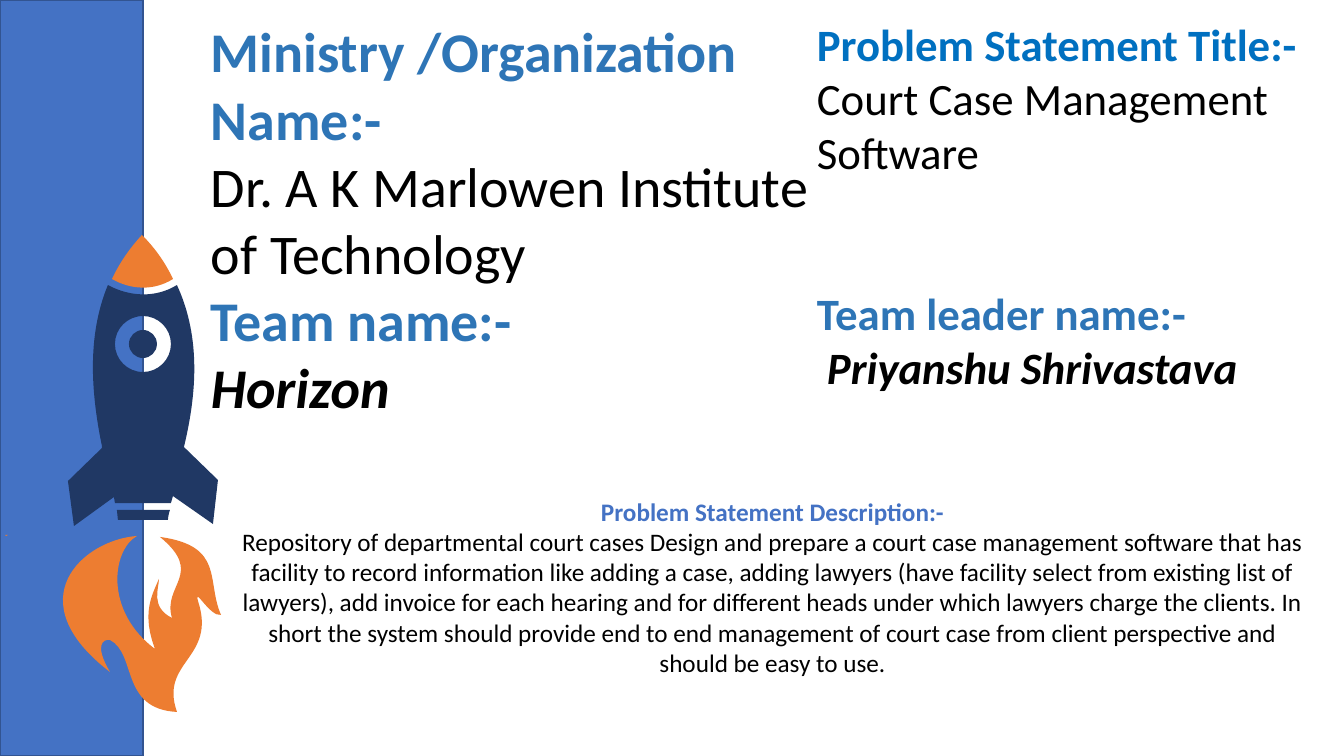
from lxml.etree import SubElement
from pptx import Presentation
from pptx.dml.color import RGBColor
from pptx.enum.shapes import MSO_SHAPE
from pptx.enum.text import PP_ALIGN
from pptx.oxml.ns import qn
from pptx.util import Emu, Pt

PX = 914400 / 100.8
COLORS = {"band": "4472C4", "edge": "325491", "navy": "203864", "orange": "ED7D31",
          "heading": "2E75B6", "title": "0070C0", "ink": "000000"}

TEXTS = [
    {"box": (201, 12, 672, 688), "size": 40, "align": PP_ALIGN.LEFT, "lines": [
        ("Ministry /Organization Name:-", "heading", True, False, 0),
        ("Dr. A K Marlowen Institute of Technology", "ink", False, False, 0),
        ("Team name:-", "heading", True, False, 0),
        ("Horizon", "ink", True, True, 0)]},
    {"box": (807, 12, 537, 445), "size": 32, "align": PP_ALIGN.LEFT, "lines": [
        ("Problem Statement Title:-", "title", True, False, 0),
        ("Court Case Management Software", "ink", False, False, 0),
        ("Team leader name:-", "heading", True, False, 77),
        (" Priyanshu Shrivastava", "ink", True, True, 0)]},
    {"box": (228, 491, 1089, 194), "size": 18, "align": PP_ALIGN.CENTER, "lines": [
        ("Problem Statement Description:-", "band", True, False, 0),
        ("Repository of departmental court cases Design and prepare a court case management "
         "software that has facility to record information like adding a case, adding lawyers "
         "(have facility select from existing list of lawyers), add invoice for each hearing and "
         "for different heads under which lawyers charge the clients. In short the system should "
         "provide end to end management of court case from client perspective and should be easy "
         "to use.", "ink", False, False, 0)]},
]

NOZZLE = [(117, 510), (170, 510), (169, 513, 168, 517, 168, 520), (118, 520)]
HULL = [(108, 285), (130, 297, 156, 298, 177, 285), (202, 339, 196, 397, 184, 447),
        (218, 480), (213, 524), (173, 496), (171, 503), (115, 503),
        (115, 501, 114, 499, 114, 497), (74, 526), (68, 481), (102, 448), (102, 446),
        (92, 397, 86, 338, 108, 285)]
NOSE = [(142, 235), (156, 249, 166, 264, 173, 279), (154, 291, 131, 290, 112, 279),
        (119, 264, 129, 249, 142, 235)]
FLAME = [(137, 536), (112, 550, 104, 611, 155, 649), (142, 614, 151, 597, 159, 579),
         (159, 588, 150, 607, 172, 618), (162, 585, 205, 574, 160, 537),
         (225, 546, 206, 581, 221, 615), (210, 617, 194, 586, 198, 601),
         (217, 659, 159, 661, 177, 712), (120, 709, 137, 654, 110, 640),
         (103, 639, 94, 645, 110, 672), (16, 600, 83, 540, 137, 536)]
SPARK = [(5, 535), (8, 535), (6, 536)]
WINDOW = (143, 344)
WINDOW_RADII = (14, 28)


def px(n):
    return Emu(round(n * PX))


def rgb(name):
    return RGBColor.from_string(COLORS[name])


def circle(center, r):
    x, y = center
    k = 0.55 * r
    return [(x, y - r), (x + k, y - r, x + r, y - k, x + r, y),
            (x + r, y + k, x + k, y + r, x, y + r),
            (x - k, y + r, x - r, y + k, x - r, y),
            (x - r, y - k, x - k, y - r, x, y - r)]


def paint(sp, fill):
    sp.shadow.inherit = False
    sp.fill.solid()
    sp.fill.fore_color.rgb = rgb(fill)
    sp.line.fill.background()


def add_outlines(s, box, outlines, fill):
    left, top, width, height = box
    builder = s.shapes.build_freeform(left, top, scale=PX)
    builder.add_line_segments([(left + width, top + height)])
    sp = builder.convert_to_shape()
    path = next(sp.element.iter(qn("a:path")))
    for child in list(path):
        path.remove(child)
    path.set("w", str(px(width)))
    path.set("h", str(px(height)))
    for outline in outlines:
        for i, step in enumerate(outline):
            tag = "a:moveTo" if i == 0 else "a:lnTo" if len(step) == 2 else "a:cubicBezTo"
            node = SubElement(path, qn(tag))
            for x, y in zip(step[::2], step[1::2]):
                SubElement(node, qn("a:pt"), x=str(px(x - left)), y=str(px(y - top)))
        SubElement(path, qn("a:close"))
    paint(sp, fill)


def add_text(s, box, size, align, lines):
    tf = s.shapes.add_textbox(*map(px, box)).text_frame
    tf.word_wrap = True
    for i, (text, color, bold, italic, gap) in enumerate(lines):
        p = tf.add_paragraph() if i else tf.paragraphs[0]
        p.text = text
        p.alignment = align
        if gap:
            p.space_before = Pt(gap)
        font = p.runs[0].font
        font.name, font.size, font.bold, font.italic = "Calibri", Pt(size), bold, italic
        font.color.rgb = rgb(color)


prs = Presentation()
prs.slide_width, prs.slide_height = px(1344), px(756)
s = prs.slides.add_slide(prs.slide_layouts[6])

band = s.shapes.add_shape(MSO_SHAPE.RECTANGLE, 0, 0, px(143), px(756))
paint(band, "band")
band.line.color.rgb = rgb("edge")
band.line.width = Pt(1)

portholes = [circle(WINDOW, r) for r in WINDOW_RADII]
add_outlines(s, (68, 285, 150, 241), [NOZZLE, *portholes, HULL], "navy")
add_outlines(s, (112, 235, 61, 53), [NOSE], "orange")
add_outlines(s, (5, 535, 216, 177), [FLAME, SPARK], "orange")

for text in TEXTS:
    add_text(s, **text)

prs.save("out.pptx")
